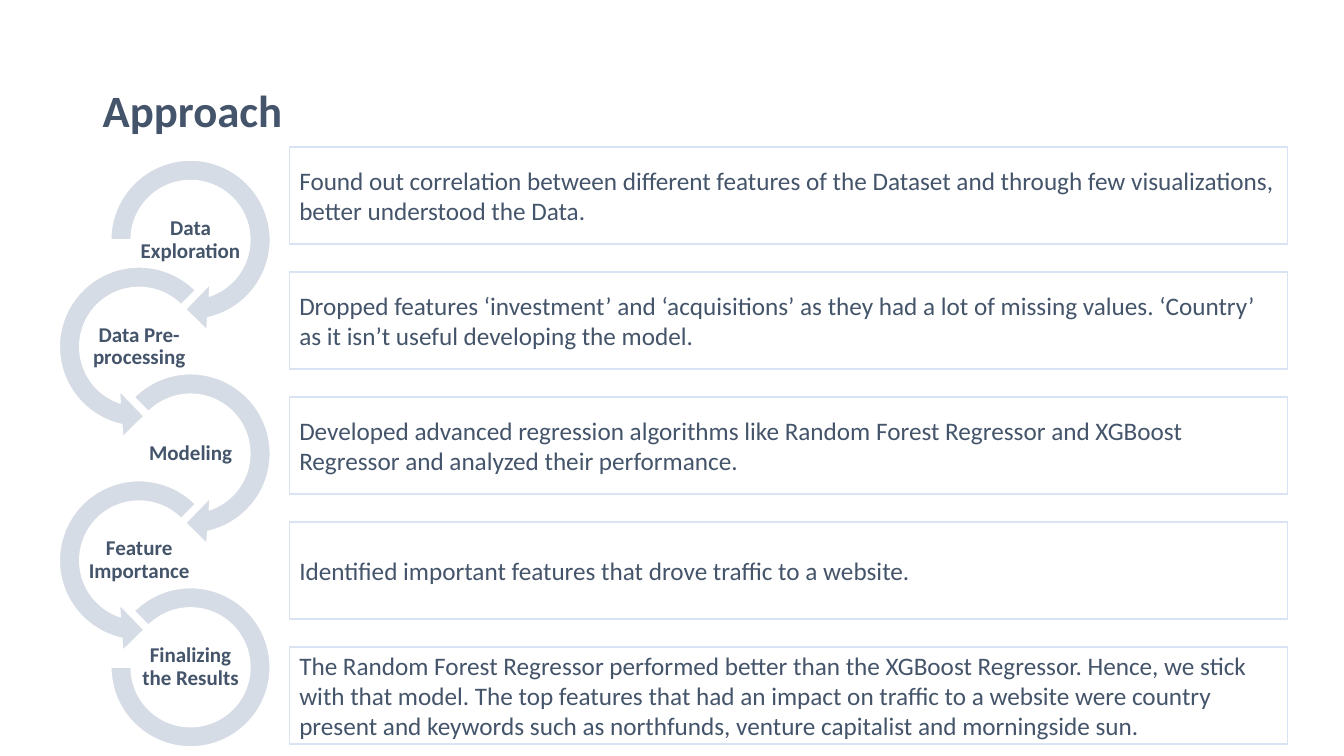
from dataclasses import dataclass

import pptx
import pptx.dml.color
import pptx.enum.shapes
import pptx.enum.text
import pptx.util

SHAPE = pptx.enum.shapes.MSO_SHAPE
ALIGN = pptx.enum.text.PP_ALIGN
MIDDLE = pptx.enum.text.MSO_ANCHOR.MIDDLE
INCH = pptx.util.Inches

COLORS = {"text": "44546A", "ring": "D6DCE5", "border": "DAE3F3", "white": "FFFFFF"}
FONT = "Calibri"

TOP = 1.46
RING_COLUMNS = {"left": 1.38, "right": 1.89}  # ring centres
RING_ROW = 1.06
RING_SIZE = 1.84
LABEL_W, LABEL_H = 1.02, 0.51
BOX_ROW = 1.24
BOX_LEFT, BOX_W, BOX_H = 2.87, 9.9, 0.96


@dataclass(frozen=True)
class Ring:
    shape: int
    column: str
    size: float
    adjustments: tuple[float, ...]


@dataclass(frozen=True)
class Step:
    label: str
    detail: str
    ring: Ring


FIRST = Ring(SHAPE.CIRCULAR_ARROW, "right", RING_SIZE, (0.11, 11.42, 45, 108, 0.125))
LEFT = Ring(SHAPE.LEFT_CIRCULAR_ARROW, "left", RING_SIZE, (0.11, 11.42, 63, 189, 0.125))
RIGHT = Ring(SHAPE.CIRCULAR_ARROW, "right", RING_SIZE, (0.11, 11.42, 45, 135, 0.125))
LAST = Ring(SHAPE.BLOCK_ARC, "right", 1.58, (135, 108, 0.127))

STEPS = [
    Step("Data Exploration",
         "Found out correlation between different features of the Dataset and through "
         "few visualizations, better understood the Data.", FIRST),
    Step("Data Pre-processing",
         "Dropped features ‘investment’ and ‘acquisitions’ as they had a lot of missing "
         "values. ‘Country’ as it isn’t useful developing the model.", LEFT),
    Step("Modeling",
         "Developed advanced regression algorithms like Random Forest Regressor and "
         "XGBoost Regressor and analyzed their performance.", RIGHT),
    Step("Feature Importance",
         "Identified important features that drove traffic to a website.", LEFT),
    Step("Finalizing the Results",
         "The Random Forest Regressor performed better than the XGBoost Regressor. "
         "Hence, we stick with that model. The top features that had an impact on traffic "
         "to a website were country present and keywords such as northfunds, venture "
         "capitalist and morningside sun.", LAST),
]


def rgb(name: str) -> pptx.dml.color.RGBColor:
    return pptx.dml.color.RGBColor.from_string(COLORS[name])


def set_text(sp, text: str, *, size: float, bold: bool = False, align=ALIGN.LEFT,
             spacing: float = 1.0, inset: float | None = None) -> None:
    tf = sp.text_frame
    tf.word_wrap = True
    tf.vertical_anchor = MIDDLE
    if inset is not None:
        tf.margin_left = tf.margin_right = tf.margin_top = tf.margin_bottom = INCH(inset)
    p = tf.paragraphs[0]
    p.alignment = align
    p.line_spacing = spacing
    r = p.add_run()
    r.text = text
    r.font.name = FONT
    r.font.size = pptx.util.Pt(size)
    r.font.bold = bold
    r.font.color.rgb = rgb("text")


def add_filled(shapes, kind: int, box: tuple[float, ...], fill: str, line: str):
    sp = shapes.add_shape(kind, *map(INCH, box))
    sp.shadow.inherit = False
    sp.fill.solid()
    sp.fill.fore_color.rgb = rgb(fill)
    sp.line.color.rgb = rgb(line)
    sp.line.width = pptx.util.Pt(1)
    return sp


def add_ring(shapes, step: Step, row: int) -> None:
    ring = step.ring
    cx = RING_COLUMNS[ring.column]
    cy = TOP + RING_SIZE / 2 + row * RING_ROW
    box = (cx - ring.size / 2, cy - ring.size / 2, ring.size, ring.size)
    sp = add_filled(shapes, ring.shape, box, "ring", "white")
    for i, value in enumerate(ring.adjustments):
        sp.adjustments[i] = value
    label = shapes.add_textbox(INCH(cx - LABEL_W / 2), INCH(cy - LABEL_H / 2),
                               INCH(LABEL_W), INCH(LABEL_H))
    set_text(label, step.label, size=15, bold=True, align=ALIGN.CENTER,
             spacing=0.9, inset=0.01)


def add_detail(shapes, step: Step, row: int) -> None:
    box = (BOX_LEFT, TOP + row * BOX_ROW, BOX_W, BOX_H)
    sp = add_filled(shapes, SHAPE.RECTANGLE, box, "white", "border")
    set_text(sp, step.detail, size=18)


def main() -> None:
    prs = pptx.Presentation()
    prs.slide_width, prs.slide_height = INCH(13.33), INCH(7.5)
    s = prs.slides.add_slide(prs.slide_layouts[6])
    title = s.shapes.add_textbox(*map(INCH, (0.92, 0.4, 11.5, 1.45)))
    set_text(title, "Approach", size=32, bold=True, spacing=0.9)
    chain = s.shapes.add_group_shape()
    for row, step in enumerate(STEPS):
        add_ring(chain.shapes, step, row)
        add_detail(s.shapes, step, row)
    prs.save("out.pptx")


if __name__ == "__main__":
    main()
